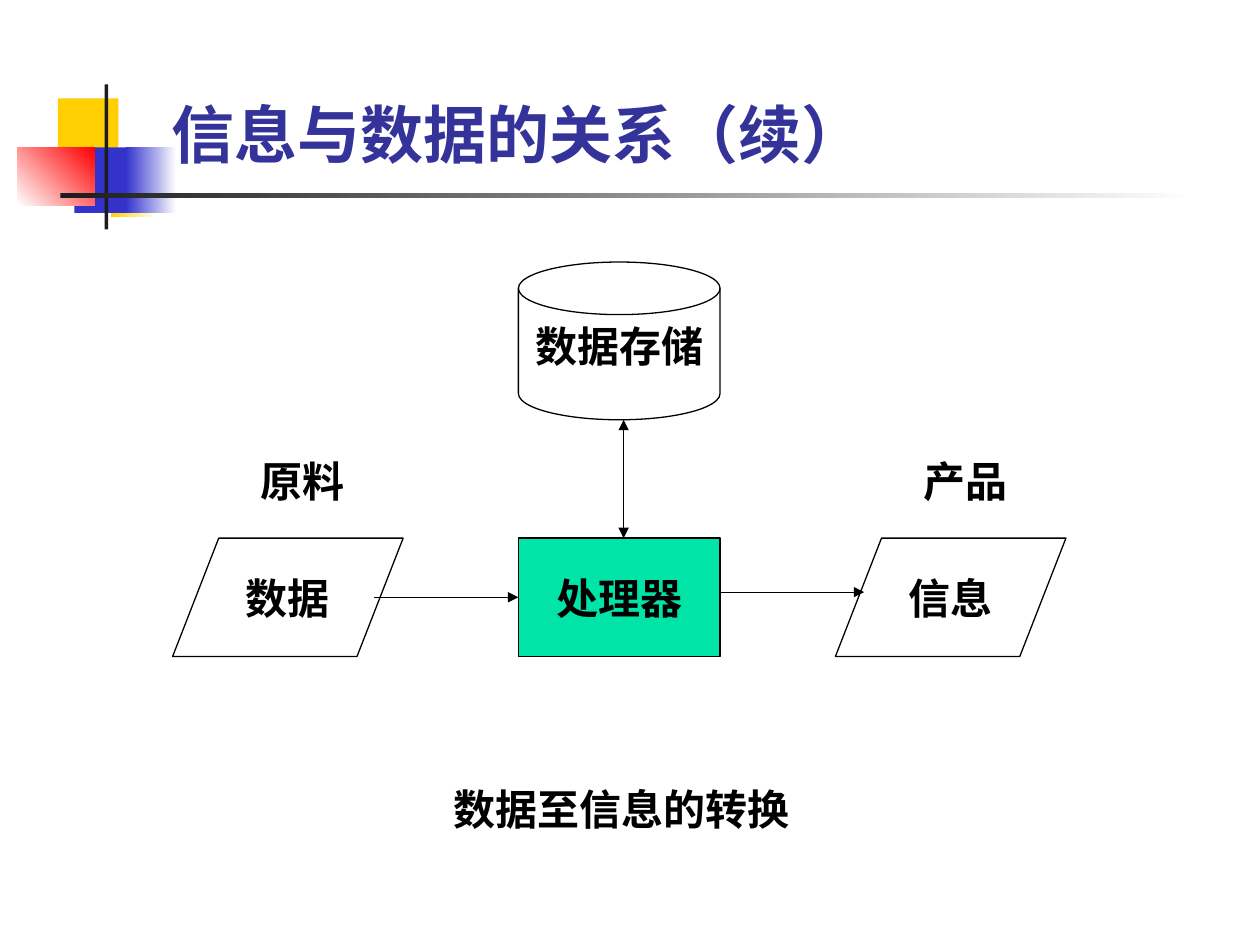
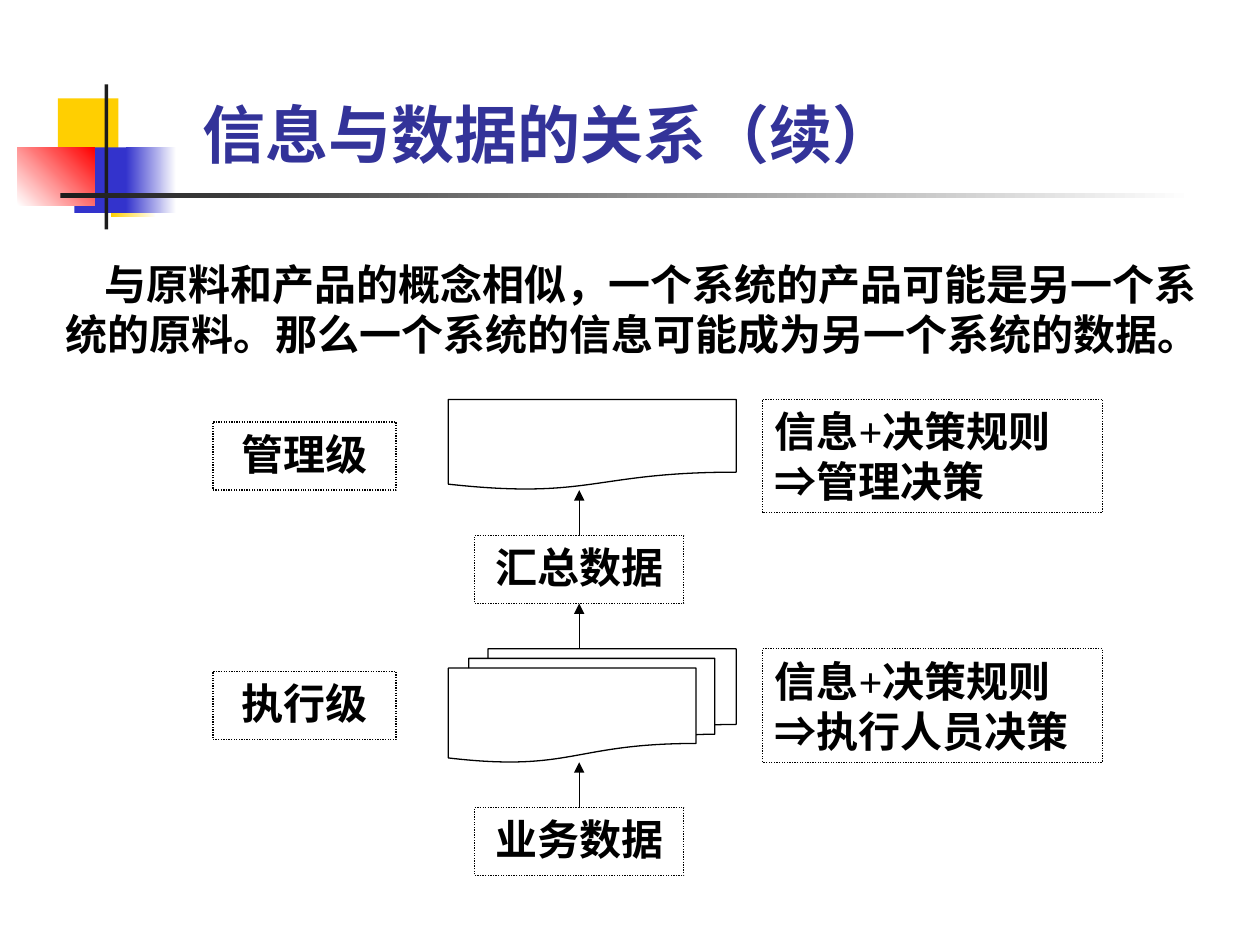
from lxml import etree
from pptx import Presentation
from pptx.dml.color import RGBColor
from pptx.enum.dml import MSO_LINE
from pptx.enum.shapes import MSO_CONNECTOR, MSO_SHAPE
from pptx.enum.text import MSO_ANCHOR, MSO_AUTO_SIZE, PP_ALIGN
from pptx.oxml.ns import qn
from pptx.util import Inches, Pt

RECT = MSO_SHAPE.RECTANGLE
IN_OUT = MSO_SHAPE.FLOWCHART_DATA
DISK = MSO_SHAPE.FLOWCHART_MAGNETIC_DISK
DOCUMENT = MSO_SHAPE.FLOWCHART_DOCUMENT
DOCUMENTS = MSO_SHAPE.FLOWCHART_MULTIDOCUMENT
TOP, MIDDLE, BOTTOM = MSO_ANCHOR.TOP, MSO_ANCHOR.MIDDLE, MSO_ANCHOR.BOTTOM
LEFT, CENTER, JUSTIFY = PP_ALIGN.LEFT, PP_ALIGN.CENTER, PP_ALIGN.JUSTIFY
SOLID, DOTTED = MSO_LINE.SOLID, MSO_LINE.ROUND_DOT

BLACK = RGBColor(0x00, 0x00, 0x00)
WHITE = RGBColor(0xFF, 0xFF, 0xFF)
INK = RGBColor(0x1C, 0x1C, 0x1C)
YELLOW = RGBColor(0xFF, 0xCF, 0x01)
BLUE = RGBColor(0x33, 0x33, 0xCC)
RED = RGBColor(0xFF, 0x00, 0x00)
TITLE_BLUE = RGBColor(0x33, 0x33, 0x99)
GREEN = RGBColor(0x00, 0xE4, 0xA8)

CJK_FONT, LATIN_FONT, SYMBOL_FONT = "Noto Sans CJK SC", "Times New Roman", "Arial"
TITLE = "信息与数据的关系（续）"
LINE_WIDTH = Pt(0.75)


def add_span(para, text, font_name, size=24, color=BLACK):
    span = para.add_run()
    span.text = text
    span.font.name = font_name
    span.font.size = Pt(size)
    span.font.bold = True
    span.font.color.rgb = color


def add_block(shapes, preset, left, top, width, height):
    block = shapes.add_shape(preset, Inches(left), Inches(top), Inches(width), Inches(height))
    block.shadow.inherit = False
    block.line.fill.background()
    return block


deck = Presentation()
deck.slide_width, deck.slide_height = Inches(10), Inches(7.5)
layout = deck.slide_layouts[5]

# Title ornament: left, top, width, height, start colour, end colour, angle
ornament = [
    (0.46, 0.78, 0.48, 0.52, YELLOW, None, 0),
    (0.88, 1.2, 0.36, 0.52, YELLOW, WHITE, 0),
    (0.59, 1.17, 0.46, 0.52, BLUE, None, 0),
    (1, 1.17, 0.4, 0.52, BLUE, WHITE, 0),
    (0.14, 1.17, 0.61, 0.46, WHITE, RED, 45),
    (0.83, 0.67, 0.03, 1.15, INK, None, 0),
    (0.48, 1.53, 9, 0.04, INK, WHITE, 0),
]

# Processing diagram: preset, column, row, columns, rows, fill, dash, anchor, align, lines
process_nodes = [
    (RECT, 25, 4.75, 5, 3, WHITE, None, TOP, CENTER, [["产品"]]),
    (RECT, 2, 4.75, 5, 3, WHITE, None, TOP, CENTER, [["原料"]]),
    (IN_OUT, 0, 7, 8, 3, WHITE, SOLID, MIDDLE, CENTER, [["数据"]]),
    (RECT, 12, 7, 7, 3, GREEN, SOLID, MIDDLE, CENTER, [["处理器"]]),
    (IN_OUT, 23, 7, 8, 3, WHITE, SOLID, MIDDLE, CENTER, [["信息"]]),
    (DISK, 12, 0, 7, 4, WHITE, SOLID, TOP, CENTER, [["数据存储"]]),
]
# Arrows: from column and row, to column and row, arrowheads
process_arrows = [
    (7, 8.5, 12, 8.5, ["tailEnd"]),
    (19, 8.37, 24, 8.37, ["tailEnd"]),
    (15.65, 7, 15.65, 4, ["headEnd", "tailEnd"]),
]

# Levels diagram
rule = ["信息+决策规则"]
level_nodes = [
    (RECT, 0, 1, 7, 3, WHITE, DOTTED, TOP, CENTER, [["管理级"]]),
    (RECT, 10, 18, 8, 3, WHITE, DOTTED, TOP, CENTER, [["业务数据"]]),
    (DOCUMENTS, 9, 11, 11, 5, WHITE, SOLID, TOP, CENTER, []),
    (RECT, 10, 6, 8, 3, WHITE, DOTTED, TOP, CENTER, [["汇总数据"]]),
    (DOCUMENT, 9, 0, 11, 4, WHITE, SOLID, TOP, CENTER, []),
    (RECT, 0, 12, 7, 3, WHITE, DOTTED, TOP, CENTER, [["执行级"]]),
    (RECT, 21, 11, 13, 5, WHITE, DOTTED, TOP, JUSTIFY, [rule, ["⇒", "执行人员决策"]]),
    (RECT, 21, 0, 13, 5, WHITE, DOTTED, TOP, JUSTIFY, [rule, ["⇒", "管理决策"]]),
]
level_arrows = [(14, start, 14, start - 2, ["tailEnd"]) for start in (18, 11, 6)]

# Pages: title left and width, grid left, top, column and row, nodes, arrows,
# caption left, top, width, height, first-line indent and text
pages = [
    (1.26, 8.52, (1.37, 2.08, 7.09 / 31, 3.13 / 10), process_nodes, process_arrows,
     (3.5, 6.17, 3, 0.5), 0, "数据至信息的转换"),
    (1.51, 6.07, (1.69, 3.17, 7.06 / 34, 0.18), level_nodes, level_arrows,
     (0.42, 2, 9.42, 0.9), 0.31,
     "与原料和产品的概念相似，一个系统的产品可能是另一个系统的原料。"
     "那么一个系统的信息可能成为另一个系统的数据。"),
]

for number, (title_left, title_width, grid, nodes, arrows, place, indent, caption) in enumerate(pages):
    page = deck.slides.add_slide(layout)
    grid_left, grid_top, col_width, row_height = grid

    # Ornament is drawn once and moved behind the layout's placeholders
    if number == 0:
        for index, (left, top, width, height, start, end, angle) in enumerate(ornament):
            block = add_block(page.shapes, RECT, left, top, width, height)
            if end is None:
                block.fill.solid()
                block.fill.fore_color.rgb = start
            else:
                block.fill.gradient()
                block.fill.gradient_angle = angle
                for stop, color in zip(block.fill.gradient_stops, (start, end)):
                    stop.color.rgb = color
            layout.shapes.element.insert(2 + index, block.element)

    # Title
    title = page.shapes.title
    title.left, title.top = Inches(title_left), Inches(0.58)
    title.width, title.height = Inches(title_width), Inches(0.83)
    title.text_frame.auto_size = MSO_AUTO_SIZE.NONE
    title.text_frame.vertical_anchor = BOTTOM
    para = title.text_frame.paragraphs[0]
    para.alignment = LEFT
    add_span(para, TITLE, CJK_FONT, 36, TITLE_BLUE)

    # Caption
    box = page.shapes.add_textbox(*[Inches(length) for length in place])
    box.text_frame.word_wrap = True
    para = box.text_frame.paragraphs[0]
    para.alignment = LEFT
    add_span(para, caption, CJK_FONT)
    for properties in box.element.iter(qn("a:pPr")):
        properties.set("indent", str(Inches(indent)))

    # Diagram nodes
    for preset, col, row, cols, rows, fill, dash, anchor, align, lines in nodes:
        node = add_block(page.shapes, preset, grid_left + col * col_width,
                         grid_top + row * row_height, cols * col_width, rows * row_height)
        node.fill.solid()
        node.fill.fore_color.rgb = fill
        if dash is not None:
            node.line.color.rgb = BLACK
            node.line.width = LINE_WIDTH
            node.line.dash_style = dash
        frame = node.text_frame
        frame.vertical_anchor = anchor
        for index, line in enumerate(lines):
            para = frame.add_paragraph() if index else frame.paragraphs[0]
            para.alignment = align
            for text in line:
                add_span(para, text, SYMBOL_FONT if text == "⇒" else LATIN_FONT)

    # Diagram arrows
    for from_col, from_row, to_col, to_row, heads in arrows:
        arrow = page.shapes.add_connector(
            MSO_CONNECTOR.STRAIGHT,
            Inches(grid_left + from_col * col_width), Inches(grid_top + from_row * row_height),
            Inches(grid_left + to_col * col_width), Inches(grid_top + to_row * row_height))
        arrow.line.color.rgb = BLACK
        arrow.line.width = LINE_WIDTH
        properties = arrow.element.spPr
        for head in heads:
            etree.SubElement(properties.find(qn("a:ln")), qn("a:" + head), type="triangle")
        etree.SubElement(properties, qn("a:effectLst"))

    # East Asian font of every run
    for shape in page.shapes:
        for properties in shape.element.iter(qn("a:rPr")):
            etree.SubElement(properties, qn("a:ea"), typeface=CJK_FONT)

deck.save("out.pptx")
